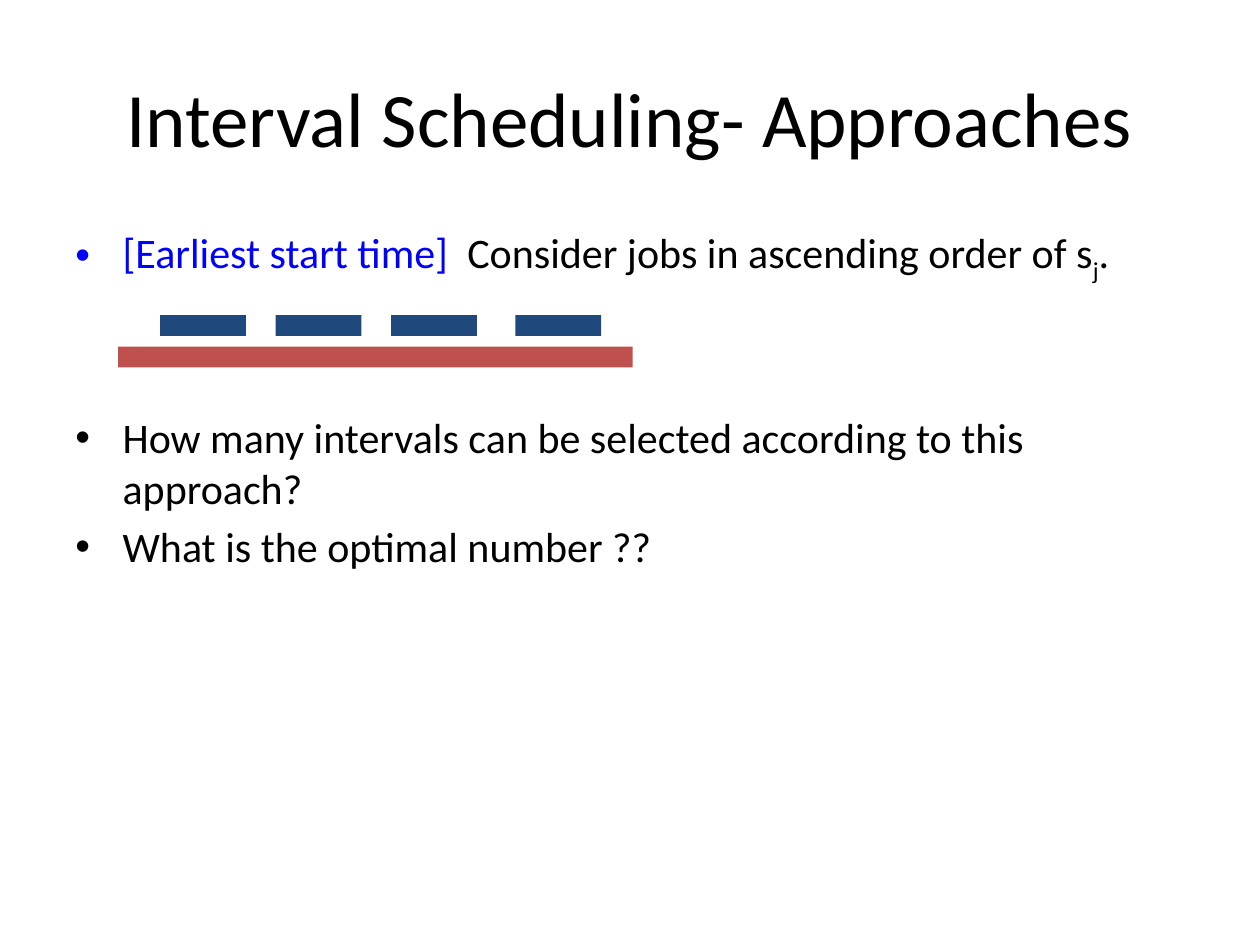
from lxml.etree import SubElement
from pptx import Presentation
from pptx.dml.color import RGBColor
from pptx.enum.shapes import MSO_SHAPE
from pptx.enum.text import MSO_ANCHOR, PP_ALIGN
from pptx.oxml.ns import qn
from pptx.util import Pt

BLACK, BLUE, NAVY, RED = "000000", "0000FF", "1F497D", "C0504D"


def color(code):
    return RGBColor.from_string(code)


class Deck:
    """Holds the text style and the current slide."""
    face = "Calibri"
    indent = 27

    def __init__(self):
        self.prs = Presentation()
        self.prs.slide_width, self.prs.slide_height = Pt(720), Pt(540)
        self.slide = self.prs.slides.add_slide(self.prs.slide_layouts[6])

    def style(self, run, size, code=BLACK):
        run.font.name = self.face
        run.font.size = Pt(size)
        run.font.color.rgb = color(code)

    def box(self, left, top, width, height):
        frame = self.slide.shapes.add_textbox(
            Pt(left), Pt(top), Pt(width), Pt(height)).text_frame
        frame.word_wrap = True
        return frame

    def title(self, text, *place):
        frame = self.box(*place)
        frame.text = text
        frame.vertical_anchor = MSO_ANCHOR.MIDDLE
        para = frame.paragraphs[0]
        para.alignment = PP_ALIGN.CENTER
        self.style(para.runs[0], 44)

    def bullet(self, para, parts, before=0):
        """Fill a bullet from (text, colour, baseline shift) parts."""
        props = para._p.get_or_add_pPr()
        props.set("marL", str(Pt(self.indent)))
        props.set("indent", str(-Pt(self.indent)))
        SubElement(props, qn("a:buFont"), typeface="Arial")
        SubElement(props, qn("a:buChar"), char="•")
        para.space_before = Pt(before)
        for text, code, shift in parts:
            run = para.add_run()
            run.text = text
            self.style(run, 24, code)
            if shift:
                run.font._element.set("baseline", str(shift * 1000))

    def bar(self, left, top, width, code):
        shape = self.slide.shapes.add_shape(
            MSO_SHAPE.RECTANGLE, Pt(left), Pt(top), Pt(width), Pt(12))
        shape.shadow.inherit = False
        shape.fill.solid()
        shape.fill.fore_color.rgb = color(code)
        shape.line.fill.background()


def main():
    deck = Deck()
    deck.title("Interval Scheduling- Approaches", 36, 21.6, 648, 90)

    body = deck.box(36, 126, 648, 356.4)
    rule = [("[Earliest start time]", BLUE, 0),
            ("  Consider jobs in ascending order of s", BLACK, 0),
            ("j", BLACK, -25), (".", BLACK, 0)]
    deck.bullet(body.paragraphs[0], rule)
    # The wide space before the first question leaves room for the bars.
    for text, before in (
            ("How many intervals can be selected according to this approach?", 73),
            ("What is the optimal number ??", 4.8)):
        deck.bullet(body.add_paragraph(), [(text, BLACK, 0)], before)

    for left in (91.5, 157.5, 223.5, 294.5):
        deck.bar(left, 180, 49, NAVY)
    deck.bar(67.5, 198, 294, RED)

    deck.prs.save("out.pptx")


if __name__ == "__main__":
    main()
